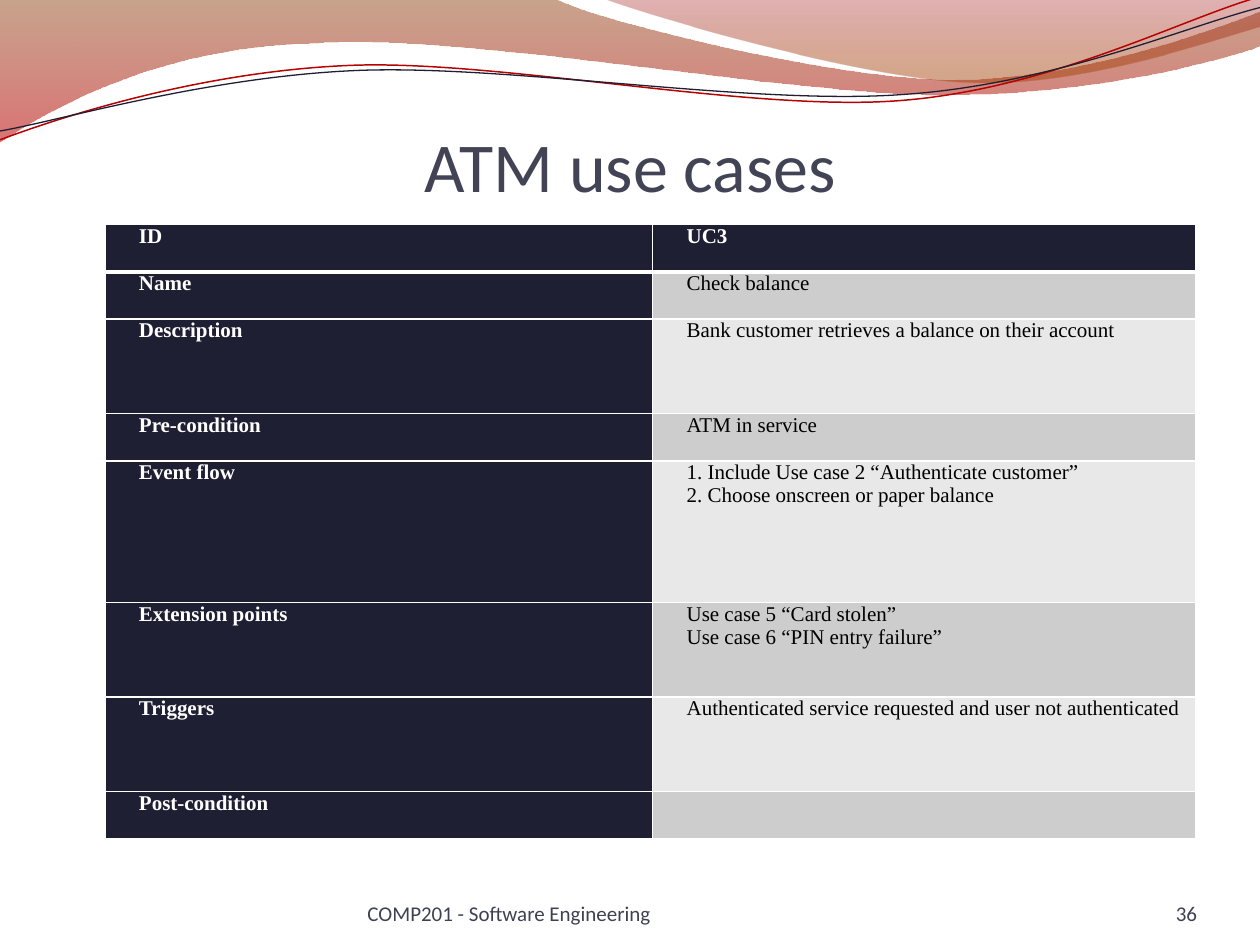
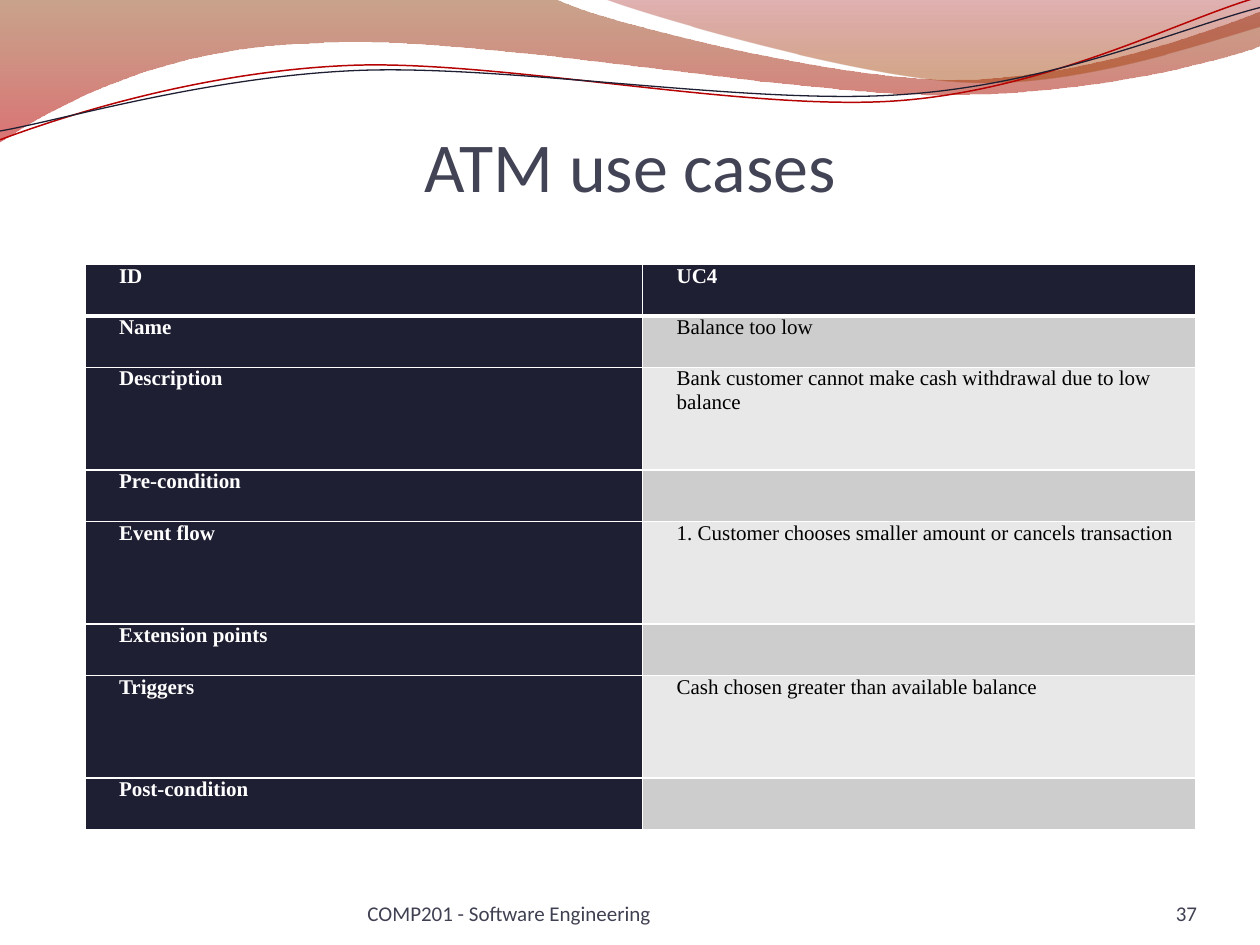
from dataclasses import dataclass
from typing import NamedTuple

from lxml import etree
from pptx import Presentation
from pptx import util as u
from pptx.dml.color import RGBColor
from pptx.enum import text
from pptx.oxml.ns import qn

SLIDE_WIDTH, SLIDE_HEIGHT = u.Inches(10), u.Inches(7.5)
COLUMNS, ROWS = 12, 9  # layout grid
WAVE_UNIT = SLIDE_WIDTH / 10  # unit of the wave coordinates


@dataclass(frozen=True)
class Theme:
    heading_font: str = "Calibri"
    table_font: str = "Times New Roman"
    title_size: float = 40
    small_size: float = 12
    title: str = "424456"
    footer: str = "3F4152"
    dark: str = "1F1F33"
    light: str = "FFFFFF"
    body: str = "000000"
    odd_row: str = "CDCDCE"
    even_row: str = "E8E8E8"
    thin_border: float = 1
    header_border: float = 3


THEME = Theme()


class Area(NamedTuple):
    """Left, top, width and height in grid columns and rows."""
    left: float
    top: float
    width: float
    height: float

    def lengths(self) -> tuple[int, int, int, int]:
        column, row = SLIDE_WIDTH / COLUMNS, SLIDE_HEIGHT / ROWS
        return (int(self.left * column), int(self.top * row),
                int(self.width * column), int(self.height * row))


class Stop(NamedTuple):
    position: float
    color: str
    opacity: int  # percent


class Wave(NamedTuple):
    start: tuple[float, float]
    segments: list[tuple[float, ...]]  # two numbers: line; six: curve
    stops: tuple[Stop, ...] = ()
    line: str = ""
    line_width: float = 0


class UseCase(NamedTuple):
    number: int
    area: Area
    row_units: list[int]
    values: list[str]


# Content
TITLE = "ATM use cases"
FOOTER = "COMP201 - Software Engineering"
FIELDS = ["ID", "Name", "Description", "Pre-condition", "Event flow",
          "Extension points", "Triggers", "Post-condition"]
FIELD_SHARE = 0.502  # share of the table taken by the field names

TITLE_AREA = Area(0.6, 0.92, 10.8, 1.05)
FOOTER_AREA = Area(3.5, 8.34, 4.4, 0.48)
NUMBER_AREA = Area(10.4, 8.34, 1, 0.48)

USE_CASES = [
    UseCase(36, Area(1, 2.14, 10.39, 5.85), [1, 1, 2, 1, 3, 2, 2, 1], [
        "UC3",
        "Check balance",
        "Bank customer retrieves a balance on their account",
        "ATM in service",
        "1. Include Use case 2 “Authenticate customer”\n"
        "2. Choose onscreen or paper balance",
        "Use case 5 “Card stolen”\nUse case 6 “PIN entry failure”",
        "Authenticated service requested and user not authenticated",
        "",
    ]),
    UseCase(37, Area(0.81, 2.52, 10.58, 5.38), [1, 1, 2, 1, 2, 1, 2, 1], [
        "UC4",
        "Balance too low",
        "Bank customer cannot make cash withdrawal due to low balance",
        "",
        "1. Customer chooses smaller amount or cancels transaction",
        "",
        "Cash chosen greater than available balance",
        "",
    ]),
]

# Header waves, from back to front
WAVES = [
    Wave((0, 0), [
        (4.4, -0.01),
        (4.76, 0.17, 6.64, 0.63, 7.58, 0.63),
        (8.53, 0.63, 9.58, 0.26, 10, 0.09),
        (10.01, 0.36),
        (9.83, 0.44, 8.7, 0.76, 7.46, 0.75),
        (6.22, 0.75, 3.82, 0.28, 2.57, 0.34),
        (1.29, 0.36, 0.46, 0.83, -0.01, 1.13),
    ], stops=(Stop(0, "883400", 45), Stop(1, "BD0000", 55))),
    Wave((4.79, -0.01), [
        (5.09, 0.11, 6.82, 0.62, 7.69, 0.65),
        (8.56, 0.69, 9.61, 0.32, 10, 0.21),
        (10, 0),
    ], stops=(Stop(0, "9A0000", 30), Stop(0.8, "A23E00", 45))),
    Wave((0, 1.11), [
        (0.48, 0.93, 1.58, 0.57, 2.77, 0.52),
        (3.95, 0.47, 5.93, 0.89, 7.13, 0.8),
        (8.33, 0.71, 9.38, 0.15, 9.98, -0.02),
    ], line="B60202", line_width=0.85),
    Wave((0, 1.04), [
        (0.47, 0.96, 1.64, 0.61, 2.83, 0.56),
        (4.03, 0.51, 5.97, 0.84, 7.17, 0.75),
        (8.36, 0.67, 9.41, 0.21, 10, 0.06),
    ], line=THEME.dark, line_width=0.75),
]


def color(value: str) -> RGBColor:
    return RGBColor.from_string(value)


def format_text(frame, font: str, size: float, value: str,
                bold: bool = False, align=None) -> None:
    for paragraph in frame.paragraphs:
        paragraph.alignment = align
        paragraph.font.name = font
        paragraph.font.size = u.Pt(size)
        paragraph.font.bold = bold
        paragraph.font.color.rgb = color(value)


# Waves
def bend_segments(shape, wave: Wave) -> None:
    """Join each curve's three straight segments into one Bézier segment."""
    lines = iter(list(shape.element.iter(qn("a:lnTo"))))
    for segment in wave.segments:
        first = next(lines)
        if len(segment) == 6:
            first.tag = qn("a:cubicBezTo")
            for _ in range(2):
                line = next(lines)
                first.append(line[0])
                line.getparent().remove(line)


def draw_wave(slide, wave: Wave):
    numbers = [number * WAVE_UNIT for segment in wave.segments for number in segment]
    builder = slide.shapes.build_freeform(*(n * WAVE_UNIT for n in wave.start), scale=1.0)
    builder.add_line_segments(list(zip(numbers[::2], numbers[1::2])),
                              close=bool(wave.stops))
    shape = builder.convert_to_shape()
    bend_segments(shape, wave)
    shape.shadow.inherit = False
    if not wave.stops:
        shape.fill.background()
        shape.line.color.rgb = color(wave.line)
        shape.line.width = u.Pt(wave.line_width)
        return shape
    shape.line.fill.background()
    shape.fill.gradient()
    shape.fill.gradient_angle = 270
    for gradient_stop, stop in zip(shape.fill.gradient_stops, wave.stops):
        gradient_stop.position = stop.position
        gradient_stop.color.rgb = color(stop.color)
    for element, stop in zip(shape.element.spPr.iter(qn("a:srgbClr")), wave.stops):
        etree.SubElement(element, qn("a:alpha"), val=str(stop.opacity * 1000))
    return shape


def move_waves_to_layout(slide) -> None:
    """Draw the waves once and hand them to the layout the slides share."""
    tree = slide.slide_layout.shapes.element
    for index, wave in enumerate(WAVES):
        element = draw_wave(slide, wave).element
        element.nvSpPr.cNvPr.set("id", str(100 + index))
        tree.insert(2 + index, element)


# Title and footer
def draw_title(slide) -> None:
    title = slide.shapes.title
    title.left, title.top, title.width, title.height = TITLE_AREA.lengths()
    frame = title.text_frame
    frame.text = TITLE
    frame.auto_size = text.MSO_AUTO_SIZE.NONE
    frame.vertical_anchor = text.MSO_ANCHOR.BOTTOM
    frame.margin_left = frame.margin_right = frame.margin_bottom = 0
    frame.margin_top = u.Inches(0.05)
    format_text(frame, THEME.heading_font, THEME.title_size, THEME.title,
                align=text.PP_ALIGN.CENTER)


def draw_footer(slide, area: Area, words: str, align) -> None:
    frame = slide.shapes.add_textbox(*area.lengths()).text_frame
    frame.text = words
    frame.word_wrap = True
    frame.vertical_anchor = text.MSO_ANCHOR.BOTTOM
    frame.margin_left = frame.margin_right = 0
    frame.margin_top = frame.margin_bottom = 0
    format_text(frame, THEME.heading_font, THEME.small_size, THEME.footer, align=align)


# Use case table
def set_borders(cell, top: float, bottom: float) -> None:
    properties = cell._tc.get_or_add_tcPr()
    sides = {"L": THEME.thin_border, "R": THEME.thin_border, "T": top, "B": bottom}
    for index, (side, width) in enumerate(sides.items()):
        line = etree.Element(qn(f"a:ln{side}"), w=str(u.Pt(width)))
        fill = etree.SubElement(line, qn("a:solidFill"))
        etree.SubElement(fill, qn("a:srgbClr"), val=THEME.light)
        properties.insert(index, line)


def draw_cell(cell, words: str, row: int, is_field: bool) -> None:
    strong = is_field or row == 0
    cell.text = words
    cell.margin_left = cell.margin_right = u.Inches(0.07)
    cell.margin_top = cell.margin_bottom = 0
    cell.fill.solid()
    band = THEME.odd_row if row % 2 else THEME.even_row
    cell.fill.fore_color.rgb = color(THEME.dark if strong else band)
    for paragraph in cell.text_frame.paragraphs:
        paragraph._p.get_or_add_pPr().set("marL", str(u.Inches(0.2)))
    format_text(cell.text_frame, THEME.table_font, THEME.small_size,
                THEME.light if strong else THEME.body, bold=strong)
    set_borders(cell,
                top=THEME.header_border if row == 1 else THEME.thin_border,
                bottom=THEME.header_border if row == 0 else THEME.thin_border)


def draw_use_case(slide, use_case: UseCase) -> None:
    left, top, width, height = use_case.area.lengths()
    table = slide.shapes.add_table(len(FIELDS), 2, left, top, width, height).table
    table.columns[0].width = int(width * FIELD_SHARE)
    table.columns[1].width = width - table.columns[0].width
    row_unit = height / sum(use_case.row_units)
    for row, (field, value) in enumerate(zip(FIELDS, use_case.values)):
        table.rows[row].height = int(use_case.row_units[row] * row_unit)
        draw_cell(table.cell(row, 0), field, row, is_field=True)
        draw_cell(table.cell(row, 1), value, row, is_field=False)


def main() -> None:
    presentation = Presentation()
    presentation.slide_width, presentation.slide_height = SLIDE_WIDTH, SLIDE_HEIGHT
    title_only = presentation.slide_layouts.get_by_name("Title Only")
    for use_case in USE_CASES:
        slide = presentation.slides.add_slide(title_only)
        draw_title(slide)
        draw_use_case(slide, use_case)
        draw_footer(slide, FOOTER_AREA, FOOTER, text.PP_ALIGN.LEFT)
        draw_footer(slide, NUMBER_AREA, str(use_case.number), text.PP_ALIGN.RIGHT)
    move_waves_to_layout(presentation.slides[0])
    presentation.save("out.pptx")


if __name__ == "__main__":
    main()
